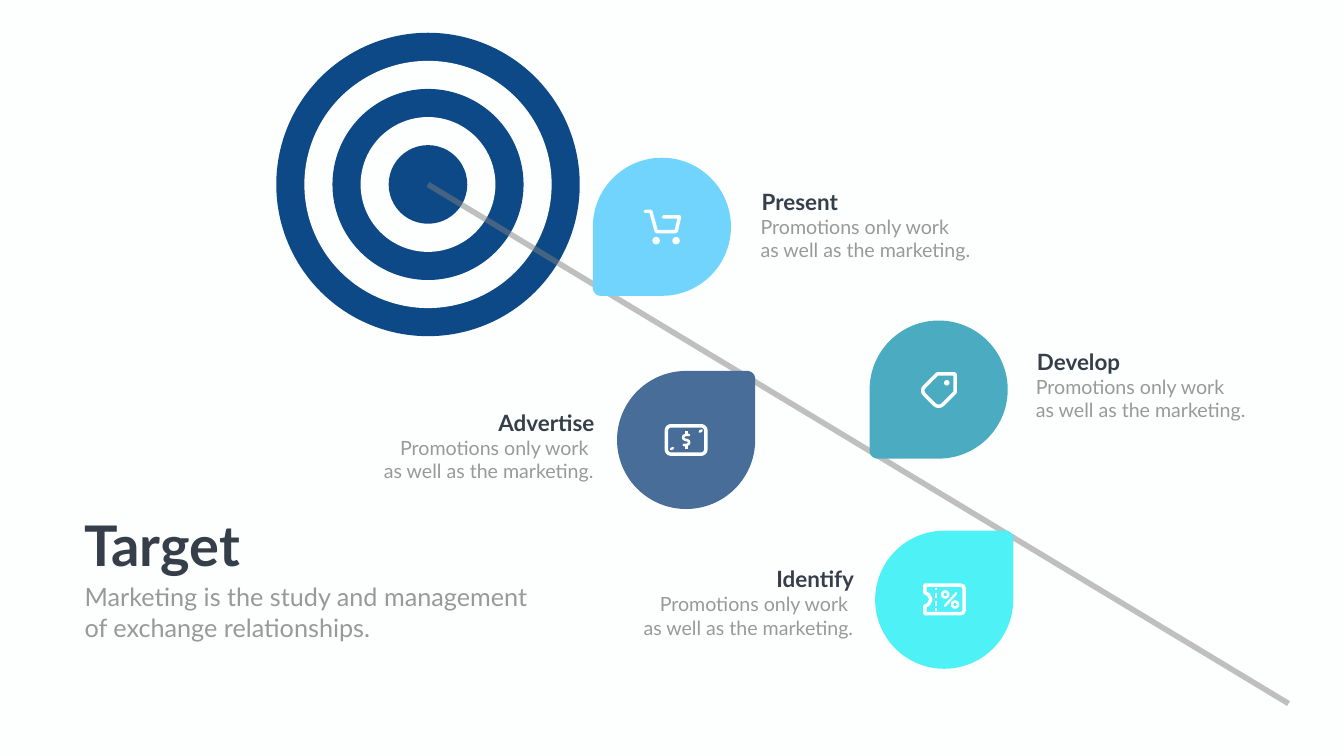
from dataclasses import dataclass, field
from math import cos, pi, sin

from lxml.etree import SubElement
from pptx import Presentation
from pptx.dml.color import RGBColor
from pptx.enum.shapes import MSO_CONNECTOR, MSO_SHAPE
from pptx.enum.text import PP_ALIGN as Align
from pptx.oxml.ns import qn
from pptx.util import Inches, Pt

Point = tuple[float, float]


@dataclass(frozen=True)
class Theme:
    font: str = "Lato"
    paper: str = "FDFFFE"
    navy: str = "0C4986"
    arrow: str = "808080"
    dark: str = "353E49"
    grey: str = "989998"
    title: int = 80
    subtitle: int = 36
    heading: int = 32
    body: int = 28


THEME = Theme()


@dataclass(frozen=True)
class Stroke:
    """A line through offsets from the badge centre, in hundredths of an inch."""
    points: list[Point]
    width: float = 5
    closed: bool = False
    cap: str = "rnd"


@dataclass(frozen=True)
class Dot:
    x: float
    y: float
    size: float
    ring: float = 0


@dataclass(frozen=True)
class Step:
    heading: str
    body: list[str]
    color: str
    center: Point
    label_edge: float
    label_top: float
    label_on_right: bool
    strokes: list[Stroke]
    dots: list[Dot] = field(default_factory=list)


def rounded_outline(width: float, height: float, radii: list[float]) -> list[Point]:
    """Points of a centred rectangle; radii run clockwise from top left."""
    points = []
    for i, (sx, sy) in enumerate([(-1, -1), (1, -1), (1, 1), (-1, 1)]):
        r = radii[i]
        cx, cy = sx * (width / 2 - r), sy * (height / 2 - r)
        for k in range(25):
            angle = pi + i * pi / 2 + k * pi / 48
            points.append((cx + r * cos(angle), cy + r * sin(angle)))
    return points


def paint(s, fill: str | None = None, line: str | None = None, width: float = 0) -> None:
    s.shadow.inherit = False
    if fill:
        s.fill.solid()
        s.fill.fore_color.rgb = RGBColor.from_string(fill)
    else:
        s.fill.background()
    if line:
        s.line.color.rgb = RGBColor.from_string(line)
        s.line.width = Pt(width)
    else:
        s.line.fill.background()


def add_outline(shapes, center: Point, points: list[Point], closed: bool = True):
    emu = [(Inches(center[0] + x / 100), Inches(center[1] + y / 100)) for x, y in points]
    builder = shapes.build_freeform(*emu[0], scale=1.0)
    builder.add_line_segments(emu[1:], close=closed)
    return builder.convert_to_shape()


def add_circle(shapes, center: Point, diameter: float, **look) -> None:
    x, y = (Inches(c - diameter / 2) for c in center)
    s = shapes.add_shape(MSO_SHAPE.OVAL, x, y, Inches(diameter), Inches(diameter))
    paint(s, **look)


def add_text(shapes, lines: list[str], left: float, top: float, width: float, height: float, *,
             size: int, color: str, bold: bool = False, align: Align = Align.LEFT) -> None:
    box = shapes.add_textbox(Inches(left), Inches(top), Inches(width), Inches(height))
    tf = box.text_frame
    tf.word_wrap = True
    for i, line in enumerate(lines):
        p = tf.add_paragraph() if i else tf.paragraphs[0]
        p.alignment = align
        r = p.add_run()
        r.text = line
        r.font.name, r.font.size, r.font.bold = THEME.font, Pt(size), bold
        r.font.color.rgb = RGBColor.from_string(color)


def add_target(shapes, center: Point) -> None:
    for i in range(5):
        add_circle(shapes, center, 6.02 - 1.115 * i, fill=THEME.paper if i % 2 else THEME.navy)


def add_arrow_shaft(shapes, start: Point, end: Point) -> None:
    s = shapes.add_connector(MSO_CONNECTOR.STRAIGHT, *map(Inches, start + end))
    s.line.color.rgb = RGBColor.from_string(THEME.arrow)
    s.line.width = Pt(8)
    color = s.line._ln.find(".//" + qn("a:srgbClr"))
    SubElement(color, qn("a:alpha"), val="50000")
    SubElement(s._element.spPr, qn("a:effectLst"))


def add_badge(shapes, step: Step) -> None:
    tip = 3 if step.label_on_right else 1
    radii = [16 if i == tip else 137 for i in range(4)]
    paint(add_outline(shapes, step.center, rounded_outline(274, 274, radii)), fill=step.color)


def add_icon(shapes, step: Step) -> None:
    for stroke in step.strokes:
        s = add_outline(shapes, step.center, stroke.points, stroke.closed)
        paint(s, line=THEME.paper, width=stroke.width)
        s.line._ln.set("cap", stroke.cap)
    for dot in step.dots:
        center = (step.center[0] + dot.x / 100, step.center[1] + dot.y / 100)
        look = dict(line=THEME.paper, width=dot.ring) if dot.ring else dict(fill=THEME.paper)
        add_circle(shapes, center, dot.size / 100, **look)


def add_label(shapes, step: Step) -> None:
    group = shapes.add_group_shape().shapes
    right = step.label_on_right
    align = Align.LEFT if right else Align.RIGHT
    head_w, body_w = (3.01, 5.35) if right else (2.82, 5.02)
    head_x = step.label_edge - (0 if right else head_w)
    body_x = step.label_edge - 0.02 - (0 if right else body_w)
    add_text(group, [step.heading], head_x, step.label_top, head_w, 0.64,
             size=THEME.heading, color=THEME.dark, bold=True, align=align)
    add_text(group, step.body, body_x, step.label_top + 0.53, body_w, 1.51,
             size=THEME.body, color=THEME.grey, align=align)


LEFT_BODY = ["Promotions only work", "as well as the marketing."]
RIGHT_BODY = ["Promotions only work ", "as well as the marketing."]

CART = [Stroke([(-33, -30.5), (-22, -30.5), (-11, 9.5), (28, 9.5), (35, -19.5), (3, -19.5)])]
TAG = [Stroke([(-3, -31), (32.5, -31), (32.5, 5.5), (8, 30), (4, 32.5), (0, 33), (-4, 32.5),
               (-8, 30), (-28, 10), (-31, 6), (-31.5, 2), (-31, -2), (-28, -6)], closed=True)]
BANKNOTE = [
    Stroke(rounded_outline(78, 56, [9] * 4), closed=True),
    Stroke([(6, -10), (-1, -10), (-5, -8), (-6, -5), (-5, -2), (-1, 0), (1, 0),
            (5, 2), (6, 5), (5, 8), (1, 10), (-5, 10)], 3.6),
    *(Stroke([(0.5, y), (0.5, y + 7)], 3.6, cap="flat") for y in (-17, 10)),
    Stroke([(27, -16.5), (31, -19)], 3.6),
    Stroke([(-30, 18), (-26, 16)], 3.6),
]
TICKET = [
    Stroke([(-38.5, -29), (33, -29), (37.5, -27), (39.5, -22), (39.5, 21), (37.5, 26),
            (33, 27.5), (-38.5, 27.5), (-38.5, 13), (-31, 9), (-26.5, -1), (-31, -10),
            (-38.5, -14)], closed=True),
    Stroke([(1.5, 12), (24, -13)], 3.2),
    *(Stroke([(-16, top), (-16, bottom)], 2.9, cap="flat")
      for top, bottom in [(-24, -19), (-14, -3), (2, 12), (16, 23)]),
]

STEPS = [
    Step("Present", LEFT_BODY, "70D4FD", (13.13, 4.5), 15.01, 3.68, True,
         CART, [Dot(-11.5, 27.5, 15), Dot(28, 27.5, 15)]),
    Step("Develop", LEFT_BODY, "4BABC1", (18.62, 7.73), 20.47, 6.85, True,
         TAG, [Dot(16, -13.5, 11)]),
    Step("Advertise", RIGHT_BODY, "486D98", (13.61, 8.73), 11.89, 8.06, False, BANKNOTE),
    Step("Identify", RIGHT_BODY, "4EF2F6", (18.73, 11.9), 17.04, 11.17, False,
         TICKET, [Dot(21.5, 9.5, 12, 3.6), Dot(2, -10.5, 12, 3.6)]),
]


def main() -> None:
    prs = Presentation()
    prs.slide_width, prs.slide_height = Inches(26.66), Inches(15)
    slide = prs.slides.add_slide(prs.slide_layouts[6])
    slide.background.fill.solid()
    slide.background.fill.fore_color.rgb = RGBColor.from_string(THEME.paper)
    shapes = slide.shapes
    bullseye = (8.49, 3.66)
    add_target(shapes, bullseye)
    add_arrow_shaft(shapes, bullseye, (25.56, 13.96))
    for step in STEPS:
        add_badge(shapes, step)
        add_icon(shapes, step)
    title = shapes.add_group_shape().shapes
    add_text(title, ["Target"], 1.57, 10.07, 3.5, 1.45,
             size=THEME.title, color=THEME.dark, bold=True)
    add_text(title, ["Marketing is the study and management", "of exchange relationships."],
             1.58, 11.49, 9.74, 1.31, size=THEME.subtitle, color=THEME.grey)
    for step in STEPS:
        add_label(shapes, step)
    prs.save("out.pptx")


if __name__ == "__main__":
    main()
